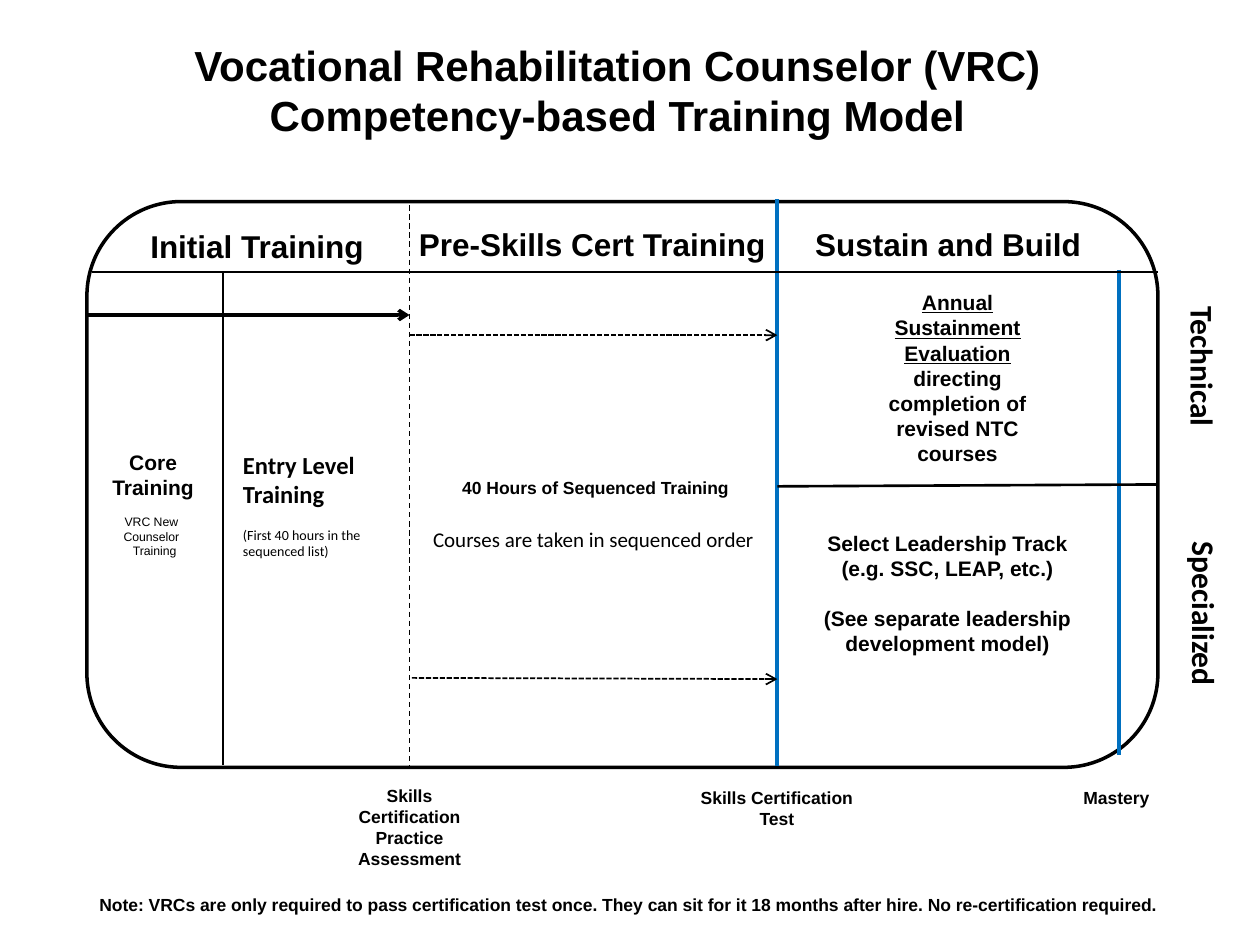
"""Build the vocational rehabilitation counselor training model slide."""
from dataclasses import dataclass

from lxml import etree
from pptx import Presentation
from pptx.dml.color import RGBColor
from pptx.enum import dml, shapes, text
from pptx.oxml import ns
from pptx.util import Inches, Pt


@dataclass(frozen=True)
class Theme:
    ink: RGBColor = RGBColor(0, 0, 0)
    paper: RGBColor = RGBColor(255, 255, 255)
    milestone: RGBColor = RGBColor(0x00, 0x70, 0xC0)
    sans: str = "Arial"
    alt: str = "Calibri"
    title: int = 24
    heading: int = 18
    subhead: int = 14
    body: int = 12
    label: int = 10
    small: int = 8
    tiny: int = 7


T = Theme()
LEFT, CENTER = text.PP_ALIGN.LEFT, text.PP_ALIGN.CENTER
DASH, SYS_DASH = dml.MSO_LINE.DASH, dml.MSO_LINE.SQUARE_DOT

prs = Presentation()
prs.slide_width, prs.slide_height = Inches(10), Inches(7.5)
s = prs.slides.add_slide(prs.slide_layouts[5])


def write(sp, box, lines, size, font=T.sans, align=CENTER, wrap=True):
    """Place sp and fill it with (text, run and paragraph overrides) lines."""
    sp.left, sp.top, sp.width, sp.height = map(Inches, box)
    tf = sp.text_frame
    tf.word_wrap = wrap
    tf.auto_size = text.MSO_AUTO_SIZE.SHAPE_TO_FIT_TEXT
    tf.vertical_anchor = text.MSO_ANCHOR.TOP
    for i, (words, style) in enumerate(lines):
        p = tf.paragraphs[0] if i == 0 else tf.add_paragraph()
        p.alignment = align
        p.space_before = Pt(style.get("gap", 0))
        r = p.add_run()
        r.text = words
        r.font.name = font
        r.font.size = Pt(style.get("size", size))
        r.font.bold = style.get("bold", True)
        r.font.underline = style.get("underline", False)
        r.font.color.rgb = T.ink
    return tf


def rule(x1, y1, x2, y2, width, color=T.ink, dash=None, arrow=False):
    """Draw a straight line, with an optional dash and arrowhead."""
    c = s.shapes.add_connector(shapes.MSO_CONNECTOR.STRAIGHT,
                               *map(Inches, (x1, y1, x2, y2)))
    c.line.color.rgb = color
    c.line.width = Pt(width)
    if dash:
        c.line.dash_style = dash
    if arrow:
        etree.SubElement(c.line._get_or_add_ln(), ns.qn("a:tailEnd"), type="arrow")
    etree.SubElement(c._element.spPr, ns.qn("a:effectLst"))
    return c


left, right, top, bottom = 0.69, 9.19, 1.6, 6.09
entry_x, practice_x, test_x, mastery_x = 1.77, 3.25, 6.17, 8.88
header_y = 2.16

frame = s.shapes.add_shape(
    shapes.MSO_SHAPE.ROUNDED_RECTANGLE,
    *map(Inches, (left, top, right - left, bottom - top)))
frame.shadow.inherit = False
frame.fill.solid()
frame.fill.fore_color.rgb = T.paper
frame.line.color.rgb = T.ink
frame.line.width = Pt(2)

rule(mastery_x, 2.14, mastery_x, 5.99, 2.25, T.milestone)
rule(test_x, 1.58, test_x, 6.08, 2.25, T.milestone)
rule(0.73, header_y, right, header_y, 1.5)
rule(practice_x, 1.63, practice_x, bottom, 0.75, dash=DASH)
rule(entry_x, header_y, entry_x, 6.07, 1.5)
rule(left, 2.5, practice_x, 2.5, 2, arrow=True)
rule(practice_x, 2.66, test_x, 2.66, 1, dash=SYS_DASH, arrow=True)
rule(3.27, 5.38, test_x, 5.39, 1, dash=SYS_DASH, arrow=True)
rule(test_x, 3.86, right, 3.84, 1.5).end_connect(frame, 3)

write(s.shapes.title, (-0.1, 0.26, 10, 0.91),
      [("Vocational Rehabilitation Counselor (VRC)", {}),
       ("Competency-based Training Model", {})], T.title)

plain = {"bold": False}
tiny = {"size": T.tiny, "bold": False}
blocks = [
    ((1, 1.75, 2.15, 0.4), T.heading, [("Initial Training ", {})]),
    ((2.89, 1.74, 3.62, 0.4), T.heading, [("Pre-Skills Cert Training", {})]),
    ((test_x, 1.74, 2.71, 0.4), T.heading, [("Sustain and Build", {})]),
    ((0.26, 3.52, 1.91, 1.09), T.body,
     [("Core", {}), ("Training", {}), ("VRC New ", {**tiny, "gap": 8}),
      ("Counselor ", tiny), (" Training", tiny)]),
    ((6.75, 2.25, 1.7, 1.51), T.body,
     [("Annual Sustainment Evaluation", {"underline": True}),
      ("directing completion of revised NTC courses", {})]),
    ((6.26, 4.16, 2.52, 1.11), T.body,
     [("Select Leadership Track", {}), ("(e.g. SSC, LEAP, etc.)", {}),
      ("(See separate leadership development model)", {"gap": 14})]),
    ((2.71, 6.18, 1.08, 0.77), T.label,
     [("Skills Certification Practice Assessment", {})]),
    ((5.41, 6.2, 1.51, 0.44), T.label,
     [("Skills Certification", {}), ("Test", {})]),
    ((8.22, 6.2, 1.28, 0.27), T.label, [("Mastery", {})]),
]
for box, size, lines in blocks:
    write(s.shapes.add_textbox(0, 0, 0, 0), box, lines, size)

write(s.shapes.add_textbox(0, 0, 0, 0), (3.55, 3.74, 2.35, 0.27),
      [("40 Hours of Sequenced Training", {})], T.label, wrap=False)
write(s.shapes.add_textbox(0, 0, 0, 0), (practice_x, 4.13, 2.92, 0.3),
      [("Courses are taken in sequenced order", plain)], T.body, T.alt)
write(s.shapes.add_textbox(0, 0, 0, 0), (1.83, 3.52, 1.31, 0.98),
      [("Entry Level Training", {}),
       ("(First 40 hours in the sequenced list)",
        {"size": T.small, "bold": False, "gap": 10})],
      T.subhead, T.alt, LEFT)
write(s.shapes.add_textbox(0, 0, 0, 0), (left, 7.05, 9.07, 0.27),
      [("Note: VRCs are only required to pass certification test once. "
        "They can sit for it 18 months after hire. "
        "No re-certification required.", {})], T.label, align=LEFT)

for words, box in [("Technical", (9.25, 2.25, 0.5, 1.32)),
                   ("Specialized", (9.29, 4.09, 0.47, 1.56))]:
    tf = write(s.shapes.add_textbox(0, 0, 0, 0), box, [(words, {})],
               T.heading, T.alt)
    tf._txBody.bodyPr.set("vert", "vert")

prs.save("out.pptx")
